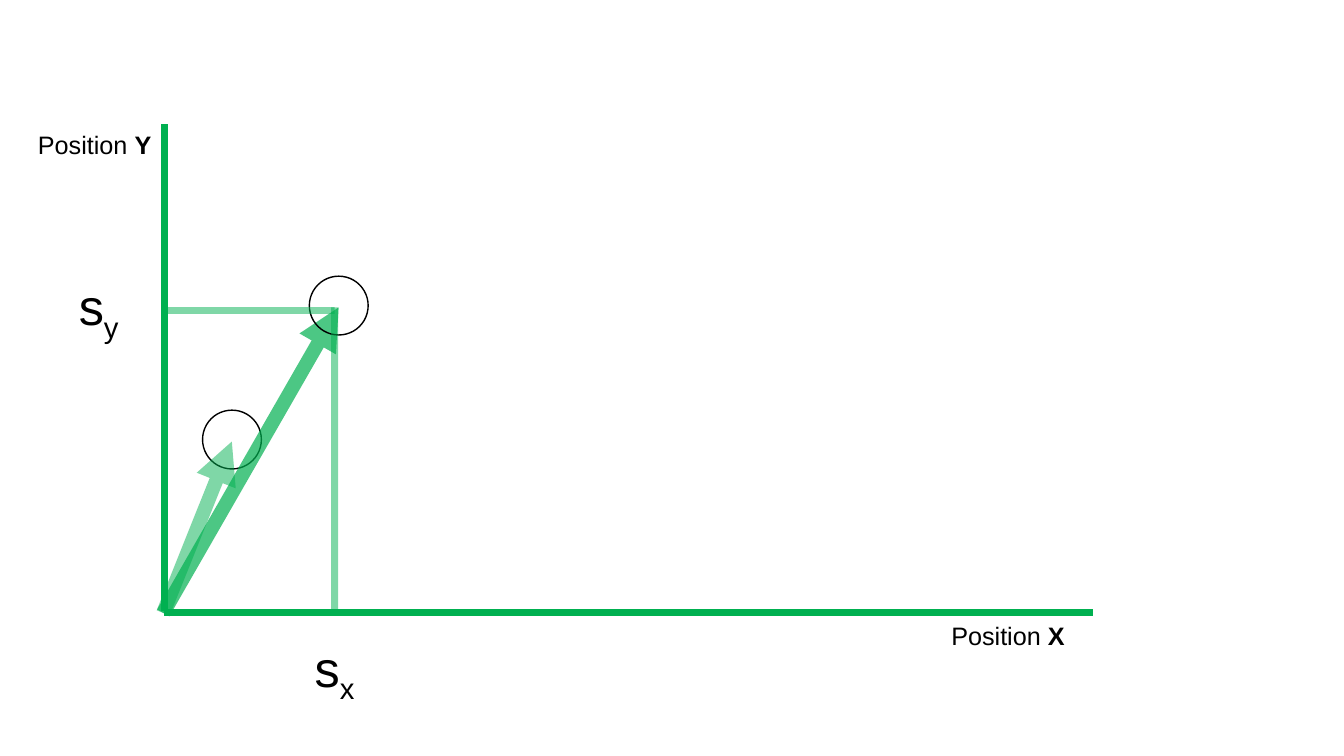
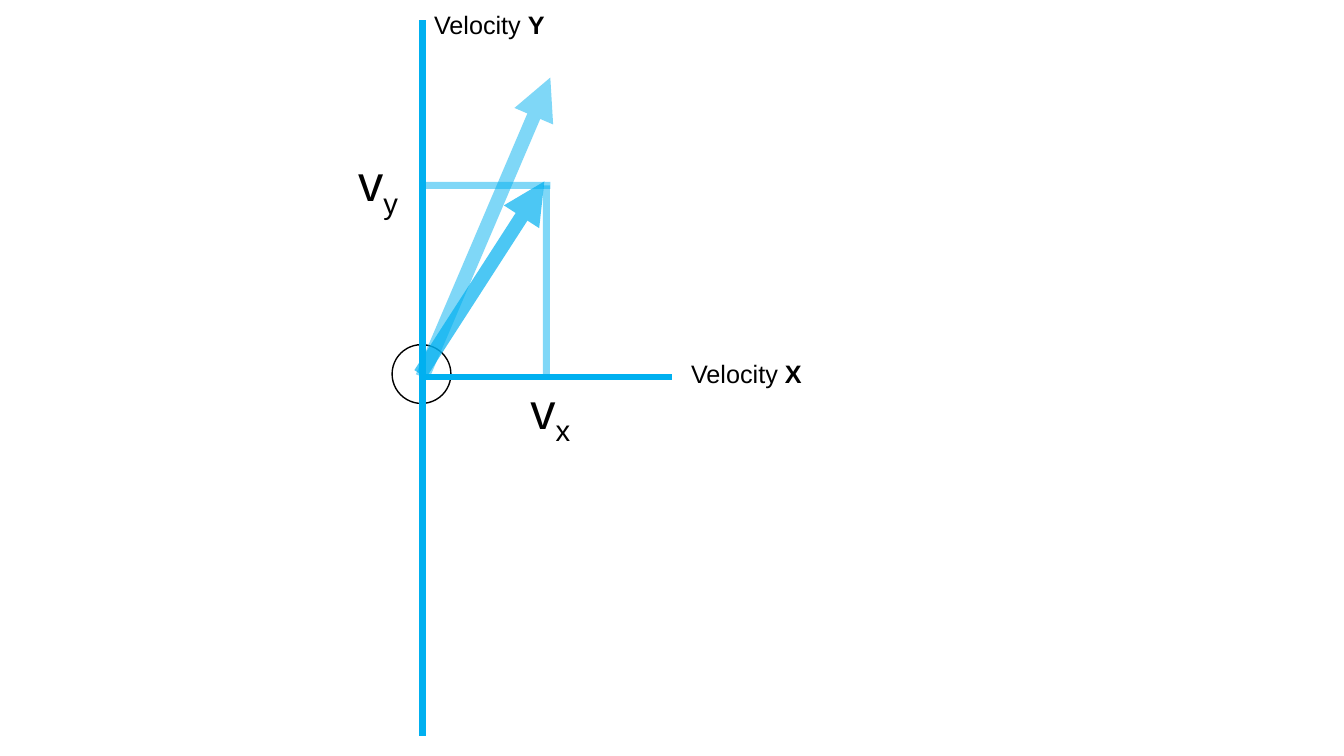
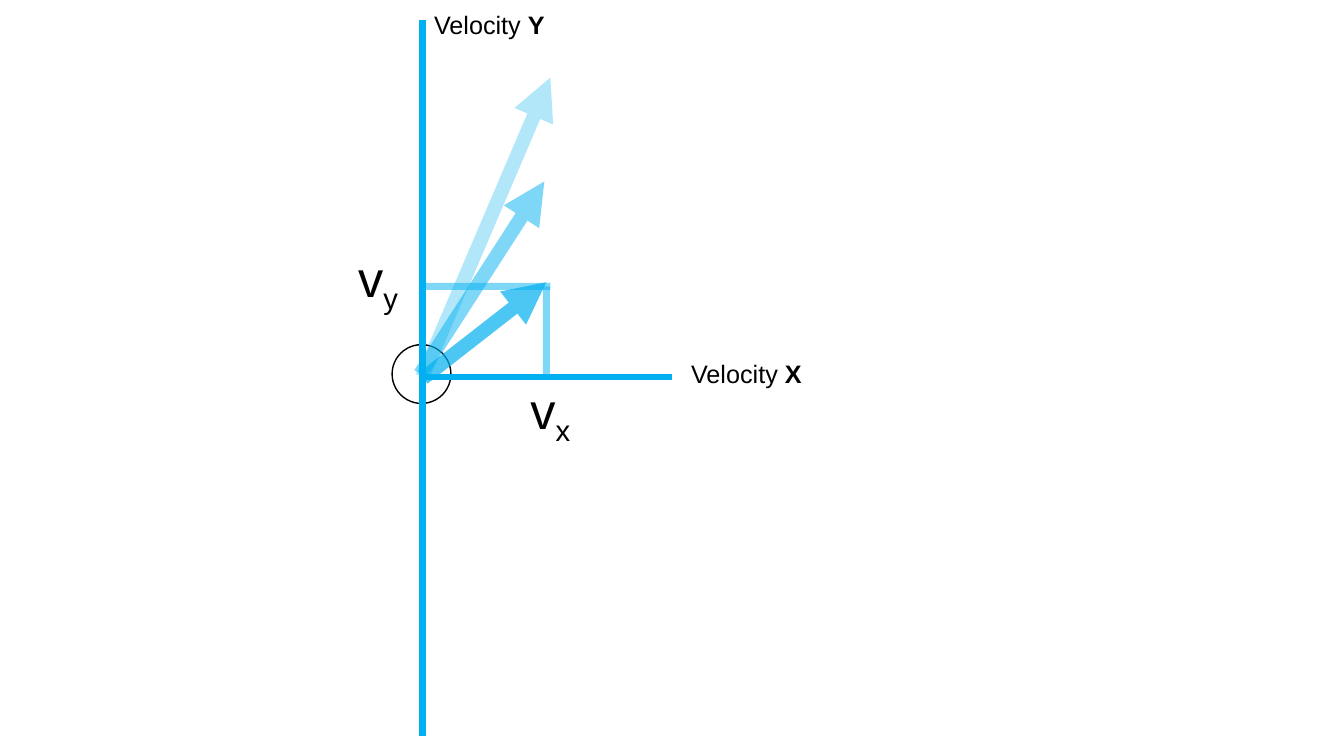
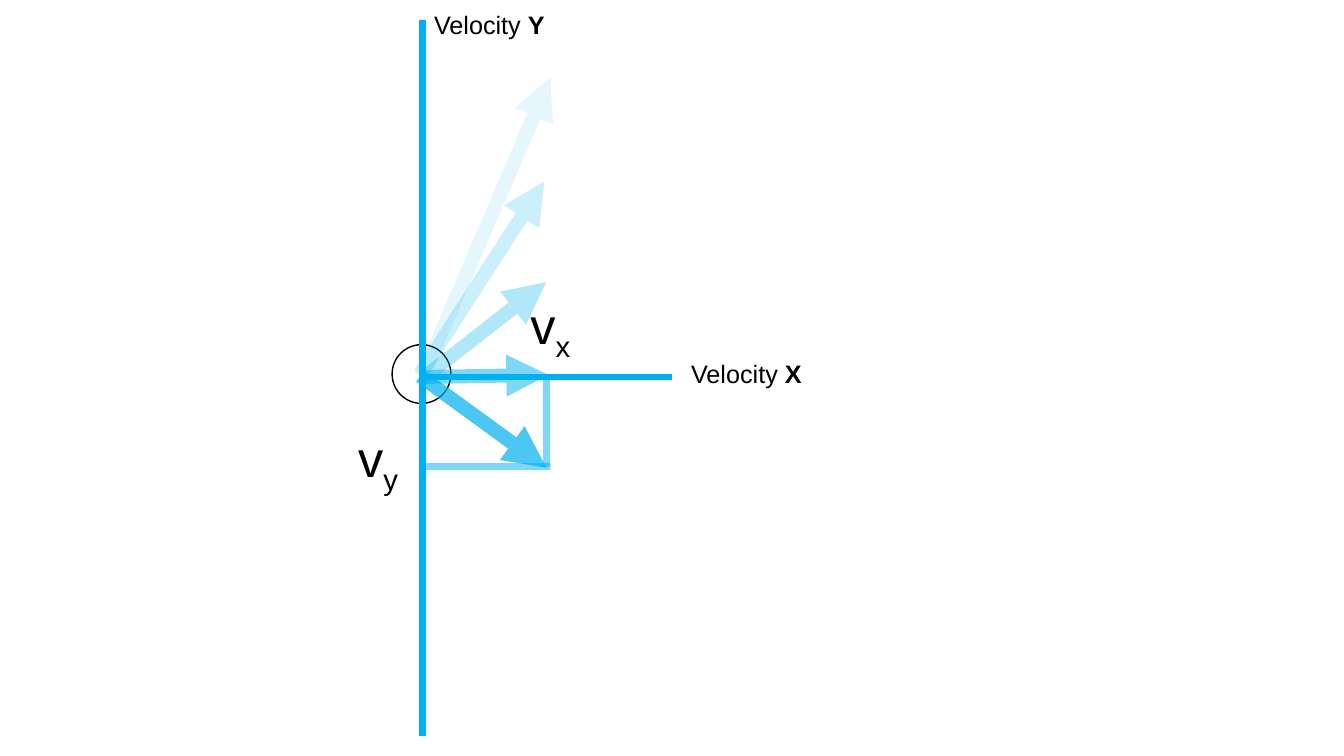
from pptx import Presentation
from pptx.dml.color import RGBColor
from pptx.enum.shapes import MSO_CONNECTOR, MSO_SHAPE
from pptx.enum.text import MSO_AUTO_SIZE, PP_ALIGN
from pptx.oxml.ns import qn
from pptx.oxml.xmlchemy import OxmlElement as new_element
from pptx.util import Pt

BLACK = RGBColor(0x00, 0x00, 0x00)
GREEN = RGBColor(0x00, 0xB0, 0x50)
BLUE = RGBColor(0x00, 0xB0, 0xF0)

BALL_SIZE = 42
AXIS_WEIGHT, ARROW_WEIGHT = 5, 10
GUIDE_OPACITY = 50
FRAME = {"word_wrap": False, "auto_size": MSO_AUTO_SIZE.SHAPE_TO_FIT_TEXT}
AXIS_FONT = {"name": "Arial", "size": Pt(18)}
SYMBOL_FONT = {"name": "Arial", "size": Pt(36)}
AXIS_BOX = {"position": (96.5, 29), "velocity": (94.3, 29)}
SYMBOL_BOX = (44.6, 51)


def draw_line(slide, start, end, colour, weight=AXIS_WEIGHT, opacity=100, arrow=False):
    line = slide.shapes.add_connector(
        MSO_CONNECTOR.STRAIGHT, *(Pt(value) for value in (*start, *end)))
    line.line.color.rgb = colour
    line.line.width = Pt(weight)
    properties = line._element.spPr
    outline = properties.find(qn("a:ln"))
    if opacity < 100:
        alpha = new_element("a:alpha")
        alpha.set("val", str(opacity * 1000))
        outline.find(".//" + qn("a:srgbClr")).append(alpha)
    if arrow:
        head = new_element("a:tailEnd")
        head.set("type", "triangle")
        outline.append(head)
    properties.append(new_element("a:effectLst"))


def draw_label(slide, corner, box, font_format, text, ending):
    """Write text with its ending: bold on an axis name, lowered on a symbol."""
    label = slide.shapes.add_textbox(*(Pt(value) for value in (*corner, *box)))
    for key, value in FRAME.items():
        setattr(label.text_frame, key, value)
    paragraph = label.text_frame.paragraphs[0]
    paragraph.alignment = PP_ALIGN.CENTER
    for part in (text, ending):
        run = paragraph.add_run()
        run.text = part
        run.font.color.rgb = BLACK
        for key, value in font_format.items():
            setattr(run.font, key, value)
    if font_format is AXIS_FONT:
        run.font.bold = True
    else:
        run._r.get_or_add_rPr().set("baseline", "-25000")


# Velocity arrows, in order of time
VELOCITIES = [
    ((301.7, 269.3), (393.1, 55.4)),
    ((300.2, 267.1), (388.8, 129.6)),
    ((302.4, 270), (390.2, 201.6)),
    ((300.2, 269.3), (391.7, 267.8)),
    ((300.2, 268.6), (390.2, 334.1)),
]

diagrams = [{
    "quantity": "position", "symbol": "s", "colour": GREEN,
    "balls_behind": [(144.7, 293)], "balls_in_front": [(221, 197.3)],
    "arrows": [((116.6, 437.8), (165.6, 315.4)), ((116.6, 437.8), (241.9, 219.6))],
    "opacities": [50, 70],
    "guides": [((239, 438.5), (239, 219.6)), ((116.6, 221.8), (239, 221.8))],
    "axes": [((117.4, 436.3), (117.4, 88.6)), ((117.4, 437.8), (780.5, 437.8))],
    "name_y": (19.4, 88.6), "name_x": (671.8, 439.2),
    "symbol_y": (48.2, 193), "symbol_x": (216.7, 451.4),
}]
# Opacity of each arrow, level of vy, tops of the symbols vy and vx
for opacities, level, top_y, top_x in [
    ([50, 70], 132.5, 104.4, 267.1),
    ([30, 50, 70], 204.5, 172.8, 267.1),
    ([10, 20, 30, 50, 70], 333.4, 301.7, 206.6),
]:
    diagrams.append({
        "quantity": "velocity", "symbol": "v", "colour": BLUE,
        "balls_behind": [(280.1, 246.2)], "balls_in_front": [],
        "arrows": VELOCITIES[:len(opacities)], "opacities": opacities,
        "guides": [((390.2, 269.3), (390.2, level)), ((301.7, level), (393.1, level))],
        "axes": [((301.7, 525.6), (301.7, 14.4)), ((301.7, 269.3), (480.2, 269.3))],
        "name_y": (302.4, 2.9), "name_x": (486, 252.7),
        "symbol_y": (247.7, top_y), "symbol_x": (370.8, top_x),
    })

presentation = Presentation()
presentation.slide_width, presentation.slide_height = Pt(960), Pt(540)

for diagram in diagrams:
    slide = presentation.slides.add_slide(presentation.slide_layouts[6])
    colour, quantity = diagram["colour"], diagram["quantity"]

    for layer in ("balls_behind", "balls_in_front"):
        for left, top in diagram[layer]:
            ball = slide.shapes.add_shape(
                MSO_SHAPE.OVAL, Pt(left), Pt(top), Pt(BALL_SIZE), Pt(BALL_SIZE))
            ball.shadow.inherit = False
            ball.fill.background()
            ball.line.color.rgb = BLACK
            ball.line.width = Pt(1)
        if layer == "balls_behind":
            for (start, end), opacity in zip(diagram["arrows"], diagram["opacities"]):
                draw_line(slide, start, end, colour, ARROW_WEIGHT, opacity, arrow=True)

    for start, end in diagram["guides"]:
        draw_line(slide, start, end, colour, opacity=GUIDE_OPACITY)
    for start, end in diagram["axes"]:
        draw_line(slide, start, end, colour)

    for axis in ("y", "x"):
        draw_label(slide, diagram["name_" + axis], AXIS_BOX[quantity], AXIS_FONT,
                   quantity.capitalize() + " ", axis.upper())
        draw_label(slide, diagram["symbol_" + axis], SYMBOL_BOX, SYMBOL_FONT,
                   diagram["symbol"], axis)

presentation.save("out.pptx")
